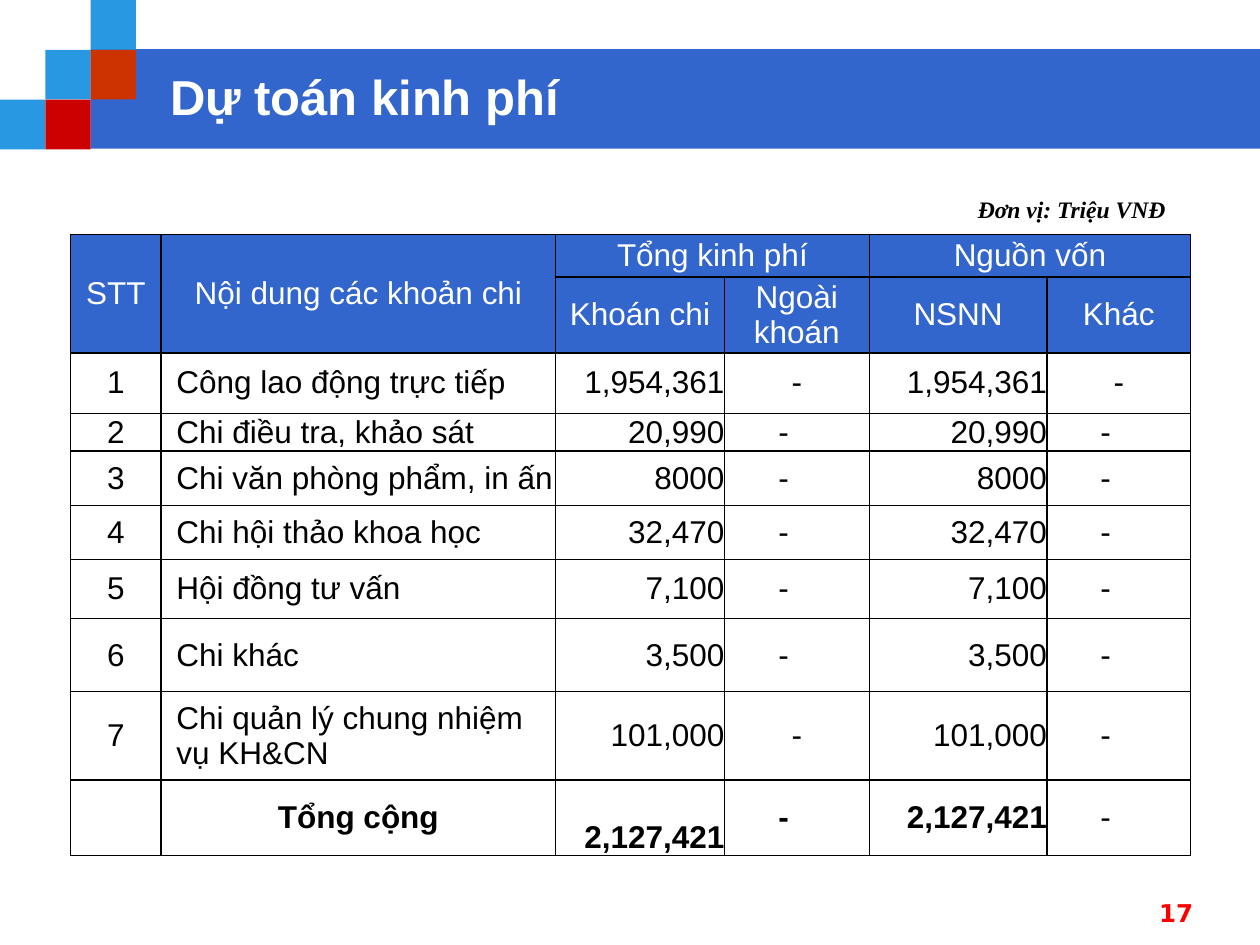
from pptx import Presentation
from pptx.dml.color import RGBColor
from pptx.enum.shapes import MSO_SHAPE
from pptx.enum.text import MSO_ANCHOR, PP_ALIGN
from pptx.oxml.ns import qn
from pptx.util import Inches, Pt
from lxml import etree

RECTANGLE = MSO_SHAPE.RECTANGLE
MIDDLE, BOTTOM = MSO_ANCHOR.MIDDLE, MSO_ANCHOR.BOTTOM
LEFT, CENTER, RIGHT = PP_ALIGN.LEFT, PP_ALIGN.CENTER, PP_ALIGN.RIGHT

COLORS = {
    "band": "3366CC", "sky": "2998E3", "orange": "CC3300", "red": "CC0000",
    "white": "FFFFFF", "black": "000000", "page": "FF0000",
}
TILE_WIDTH, TILE_HEIGHT = 0.36, 0.395
TILES = [(0, 2, "sky"), (1, 1, "sky"), (2, 0, "sky"), (2, 1, "orange"), (1, 2, "red")]

COLUMN_WIDTHS = [0.72, 3.13, 1.34, 1.15, 1.41, 1.14]
ROW_HEIGHTS = [0.34, 0.6, 0.48, 0.3, 0.43, 0.43, 0.47, 0.58, 0.7, 0.6]
HEADERS = [
    ["STT", "Nội dung các khoản chi", "Tổng kinh phí", "", "Nguồn vốn", ""],
    ["", "", "Khoán chi", "Ngoài khoán", "NSNN", "Khác"],
]
HEADER_SPANS = [((0, 0), (1, 0)), ((0, 1), (1, 1)), ((0, 2), (0, 3)), ((0, 4), (0, 5))]
EXPENSES = [
    ("Công lao động trực tiếp", "1,954,361"),
    ("Chi điều tra, khảo sát", "20,990"),
    ("Chi văn phòng phẩm, in ấn", "8000"),
    ("Chi hội thảo khoa học", "32,470"),
    ("Hội đồng tư vấn", "7,100"),
    ("Chi khác", "3,500"),
    ("Chi quản lý chung nhiệm vụ KH&CN", "101,000"),
]
TOTAL = "2,127,421"
BODY_ALIGNMENTS = [CENTER, LEFT, RIGHT, CENTER, RIGHT, CENTER]
CENTERED_DASHES = {(2, 3), (2, 5), (8, 3)}
DASH_MARGIN = 0.21


def rgb(name):
    return RGBColor.from_string(COLORS[name])


def add_run(paragraph, text, size, color, font="Arial", bold=False, italic=False):
    run = paragraph.add_run()
    run.text = text
    run.font.name = font
    run.font.size = Pt(size)
    run.font.bold = bold
    run.font.italic = italic
    run.font.color.rgb = rgb(color)


def add_block(slide, left, top, width, height, color):
    shape = slide.shapes.add_shape(
        RECTANGLE, Inches(left), Inches(top), Inches(width), Inches(height))
    shape.shadow.inherit = False
    shape.fill.solid()
    shape.fill.fore_color.rgb = rgb(color)
    shape.line.fill.background()


def add_label(slide, left, top, width, height, text, size, color, font, italic=False, indent=0):
    box = slide.shapes.add_textbox(Inches(left), Inches(top), Inches(width), Inches(height))
    box.text_frame.word_wrap = True
    paragraph = box.text_frame.paragraphs[0]
    paragraph.alignment = CENTER
    if indent:
        paragraph._p.get_or_add_pPr().set("marL", str(Inches(indent)))
    add_run(paragraph, text, size, color, font, bold=True, italic=italic)


def set_title(slide, text):
    title = slide.shapes.title
    title.left, title.top = Inches(1.25), Inches(0.5)
    title.width, title.height = Inches(8.08), Inches(0.53)
    title.text_frame.vertical_anchor = MIDDLE
    paragraph = title.text_frame.paragraphs[0]
    paragraph.alignment = LEFT
    add_run(paragraph, text, 28, "white", bold=True)
    # Bring the title in front of the band
    title.element.getparent().append(title.element)


def add_borders(cell):
    properties = cell._tc.get_or_add_tcPr()
    for side in ("a:lnL", "a:lnR", "a:lnT", "a:lnB"):
        line = etree.SubElement(properties, qn(side), w=str(Pt(1)))
        fill = etree.SubElement(line, qn("a:solidFill"))
        etree.SubElement(fill, qn("a:srgbClr"), val=COLORS["black"])


def format_cell(cell, text, alignment, color="black", bold=False, fill=None):
    add_borders(cell)
    if fill:
        cell.fill.solid()
        cell.fill.fore_color.rgb = rgb(fill)
    else:
        cell.fill.background()
    cell.margin_left = cell.margin_right = cell.margin_top = cell.margin_bottom = 0
    cell.vertical_anchor = MIDDLE
    paragraph = cell.text_frame.paragraphs[0]
    paragraph.alignment = alignment
    if alignment == LEFT:
        paragraph._p.get_or_add_pPr().set("marL", str(Inches(0.12)))
    if text:
        add_run(paragraph, text, 18, color, bold=bold)


def add_budget_table(slide):
    table = slide.shapes.add_table(
        len(ROW_HEIGHTS), len(COLUMN_WIDTHS), Inches(0.56), Inches(1.86),
        Inches(sum(COLUMN_WIDTHS)), Inches(sum(ROW_HEIGHTS))).table
    table.first_row = table.horz_banding = False
    for column, width in zip(table.columns, COLUMN_WIDTHS):
        column.width = Inches(width)
    for row, height in zip(table.rows, ROW_HEIGHTS):
        row.height = Inches(height)

    for row, texts in enumerate(HEADERS):
        for column, text in enumerate(texts):
            format_cell(table.cell(row, column), text, CENTER, "white", fill="band")
    for first, last in HEADER_SPANS:
        table.cell(*first).merge(table.cell(*last))

    body = [(str(number), name, amount, "-", amount, "-")
            for number, (name, amount) in enumerate(EXPENSES, 1)]
    body.append(("", "Tổng cộng", TOTAL, "-", TOTAL, "-"))
    total_row = len(ROW_HEIGHTS) - 1
    for row, texts in enumerate(body, len(HEADERS)):
        is_total = row == total_row
        for column, text in enumerate(texts):
            cell = table.cell(row, column)
            alignment = CENTER if is_total and column == 1 else BODY_ALIGNMENTS[column]
            format_cell(cell, text, alignment, bold=is_total and column < 5)
            if text == "-" and (row, column) not in CENTERED_DASHES:
                cell.margin_right = Inches(DASH_MARGIN)
    table.cell(total_row, 2).vertical_anchor = BOTTOM


def main():
    presentation = Presentation()
    presentation.slide_width, presentation.slide_height = Inches(10), Inches(7.5)
    slide = presentation.slides.add_slide(presentation.slide_layouts[5])

    add_block(slide, 0.72, 0.39, 9.28, 0.79, "band")
    # The lower red tile leaves the band's left end covering nothing beside it
    for column, row, color in TILES:
        add_block(slide, column * TILE_WIDTH, row * TILE_HEIGHT, TILE_WIDTH, TILE_HEIGHT, color)
    set_title(slide, "Dự toán kinh phí")
    add_label(slide, 7.47, 1.5, 1.98, 0.33, "Đơn vị: Triệu VNĐ", 13.5, "black",
              "Times New Roman", italic=True, indent=0.09)
    add_budget_table(slide)
    add_label(slide, 9, 7.08, 0.67, 0.35, "17", 14, "page", "DejaVu Sans")
    presentation.save("out.pptx")


if __name__ == "__main__":
    main()
